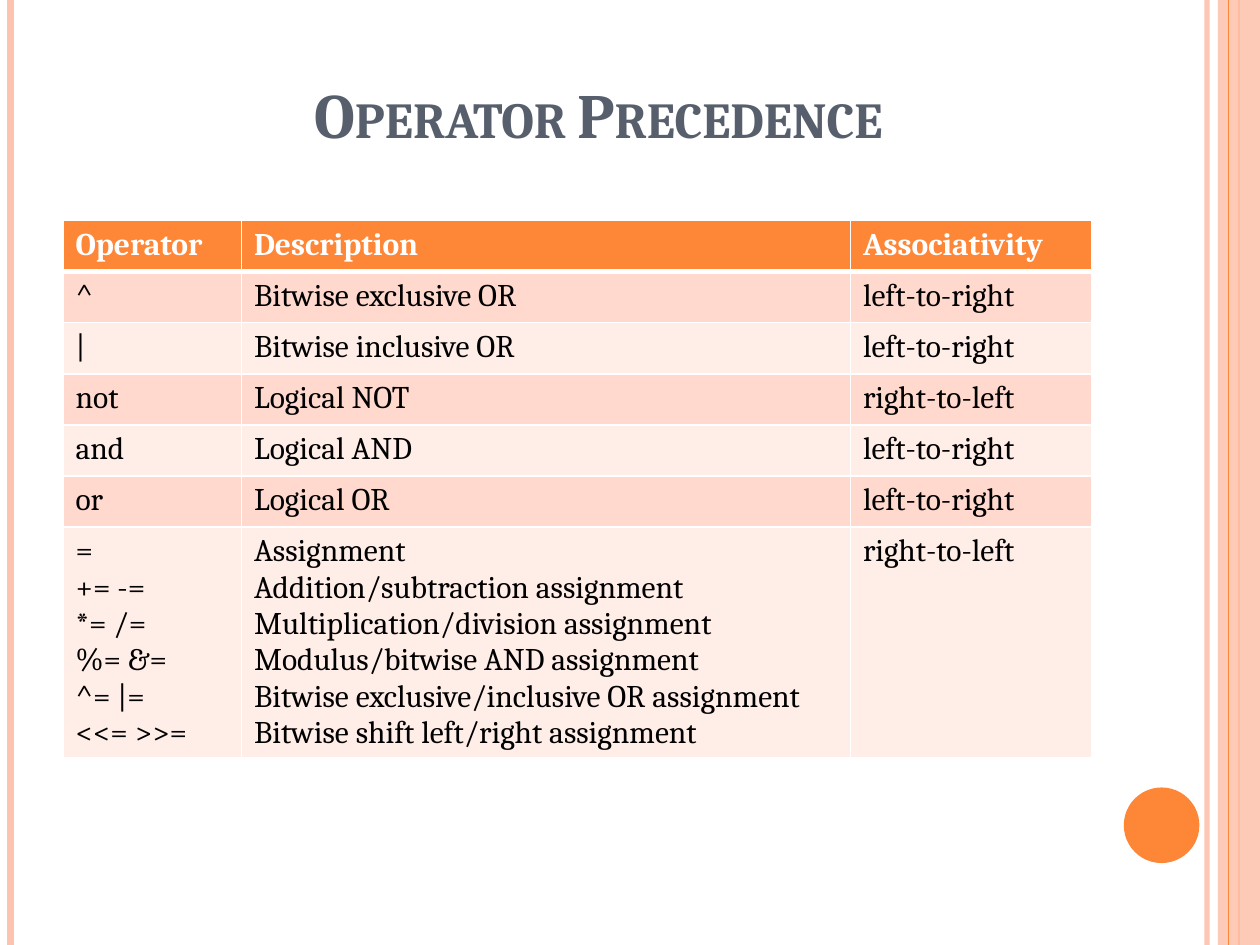
"""Build the Operator Precedence slide with its table and side rails."""
from lxml import etree
from pptx import Presentation
from pptx.dml.color import RGBColor
from pptx.enum.shapes import MSO_CONNECTOR, MSO_SHAPE
from pptx.enum.text import MSO_ANCHOR, MSO_AUTO_SIZE, PP_ALIGN
from pptx.oxml.ns import qn
from pptx.util import Pt

STRAIGHT = MSO_CONNECTOR.STRAIGHT
RECTANGLE, OVAL = MSO_SHAPE.RECTANGLE, MSO_SHAPE.OVAL
BOTTOM, CENTER, LEFT = MSO_ANCHOR.BOTTOM, PP_ALIGN.CENTER, PP_ALIGN.LEFT
NO_AUTOFIT = MSO_AUTO_SIZE.NONE

FONT = "Cambria"
COLORS = {"orange": "FE8637", "peach": "FEC3AE", "slate": "575F6D", "white": "FFFFFF",
          "black": "000000", "odd": "FFD9CE", "even": "FFEDE8"}
WIDTH, HEIGHT = 720, 540

TITLE = "Operator Precedence"
HEADER = ("Operator", "Description", "Associativity")
ROWS = [
    ("^", "Bitwise exclusive OR", "left-to-right"),
    ("|", "Bitwise inclusive OR", "left-to-right"),
    ("not", "Logical NOT", "right-to-left"),
    ("and", "Logical AND", "left-to-right"),
    ("or", "Logical OR", "left-to-right"),
]
ASSIGNMENTS = [
    ("=", "Assignment"),
    ("+= -=", "Addition/subtraction assignment"),
    ("*= /=", "Multiplication/division assignment"),
    ("%= &=", "Modulus/bitwise AND assignment"),
    ("^= |=", "Bitwise exclusive/inclusive OR assignment"),
    ("<<= >>=", "Bitwise shift left/right assignment"),
]
COLUMN_WIDTHS = (102, 348, 138)
TABLE_LEFT, TABLE_TOP, ROW_HEIGHT = 36, 126, 29.2

# x, color, width, opacity percent
RAILS = [(689.8, "peach", 3, 93), (6, "peach", 4.5, 100), (708, "orange", 1.5, 100)]
BAND_RAIL = (702, "orange", 0.75, 100)


def rgb(name):
    return RGBColor.from_string(COLORS[name])


def set_alpha(parent, percent):
    if percent < 100:
        color = parent.find(".//" + qn("a:srgbClr"))
        etree.SubElement(color, qn("a:alpha"), val=str(percent * 1000))


def write(tf, text, size=18, color="black", bold=False, align=LEFT, small_caps=False):
    tf.text = text
    for p in tf.paragraphs:
        p.alignment = align
        for r in p.runs:
            r.font.name, r.font.size, r.font.bold = FONT, Pt(size), bold
            r.font.color.rgb = rgb(color)
            if small_caps:
                r.font._element.set("cap", "small")


def add_rail(slide, x, color, width, opacity):
    rail = slide.shapes.add_connector(STRAIGHT, Pt(x), Pt(0), Pt(x), Pt(HEIGHT))
    rail.line.color.rgb, rail.line.width = rgb(color), Pt(width)
    set_alpha(rail.element.spPr, opacity)
    etree.SubElement(rail.element.spPr, qn("a:effectLst"))


def add_block(slide, kind, box, color, opacity=100):
    sp = slide.shapes.add_shape(kind, *map(Pt, box))
    sp.shadow.inherit = False
    sp.fill.solid()
    sp.fill.fore_color.rgb = rgb(color)
    sp.line.fill.background()
    set_alpha(sp.element.spPr, opacity)


def set_borders(cell, **widths):
    tc_pr = cell._tc.get_or_add_tcPr()
    for side, width in widths.items():
        ln = etree.SubElement(tc_pr, qn("a:ln" + side), w=str(Pt(width)))
        fill = etree.SubElement(ln, qn("a:solidFill"))
        etree.SubElement(fill, qn("a:srgbClr"), val=COLORS["white"])


def add_operator_table(slide):
    operators, descriptions = ("\n".join(column) for column in zip(*ASSIGNMENTS))
    content = [HEADER, *ROWS, (operators, descriptions, "right-to-left")]
    table = slide.shapes.add_table(
        len(content), len(HEADER), Pt(TABLE_LEFT), Pt(TABLE_TOP),
        Pt(sum(COLUMN_WIDTHS)), Pt(ROW_HEIGHT * len(content))).table
    for column, width in zip(table.columns, COLUMN_WIDTHS):
        column.width = Pt(width)
    for i, texts in enumerate(content):
        table.rows[i].height = Pt(ROW_HEIGHT)
        head = i == 0
        fill = "orange" if head else ("even", "odd")[i % 2]
        for j, text in enumerate(texts):
            cell = table.cell(i, j)
            write(cell.text_frame, text, color="white" if head else "black", bold=head)
            set_borders(cell, L=1, R=1, T=3 if i == 1 else 1, B=3 if head else 1)
            cell.fill.solid()
            cell.fill.fore_color.rgb = rgb(fill)


def main():
    prs = Presentation()
    prs.slide_width, prs.slide_height = Pt(WIDTH), Pt(HEIGHT)
    slide = prs.slides.add_slide(prs.slide_layouts[5])
    for rail in RAILS:
        add_rail(slide, *rail)
    add_block(slide, RECTANGLE, (696, 0, 24, HEIGHT), "peach", 87)
    add_rail(slide, *BAND_RAIL)
    add_block(slide, OVAL, (642.2, 450, 43.2, 43.2), "orange")
    add_operator_table(slide)

    title = slide.shapes.title
    title.left, title.top, title.width, title.height = map(Pt, (36, 21.6, 612, 68.4))
    tf = title.text_frame
    tf.auto_size, tf.vertical_anchor = NO_AUTOFIT, BOTTOM
    write(tf, TITLE, size=36, color="slate", bold=True, align=CENTER, small_caps=True)
    prs.save("out.pptx")


if __name__ == "__main__":
    main()
